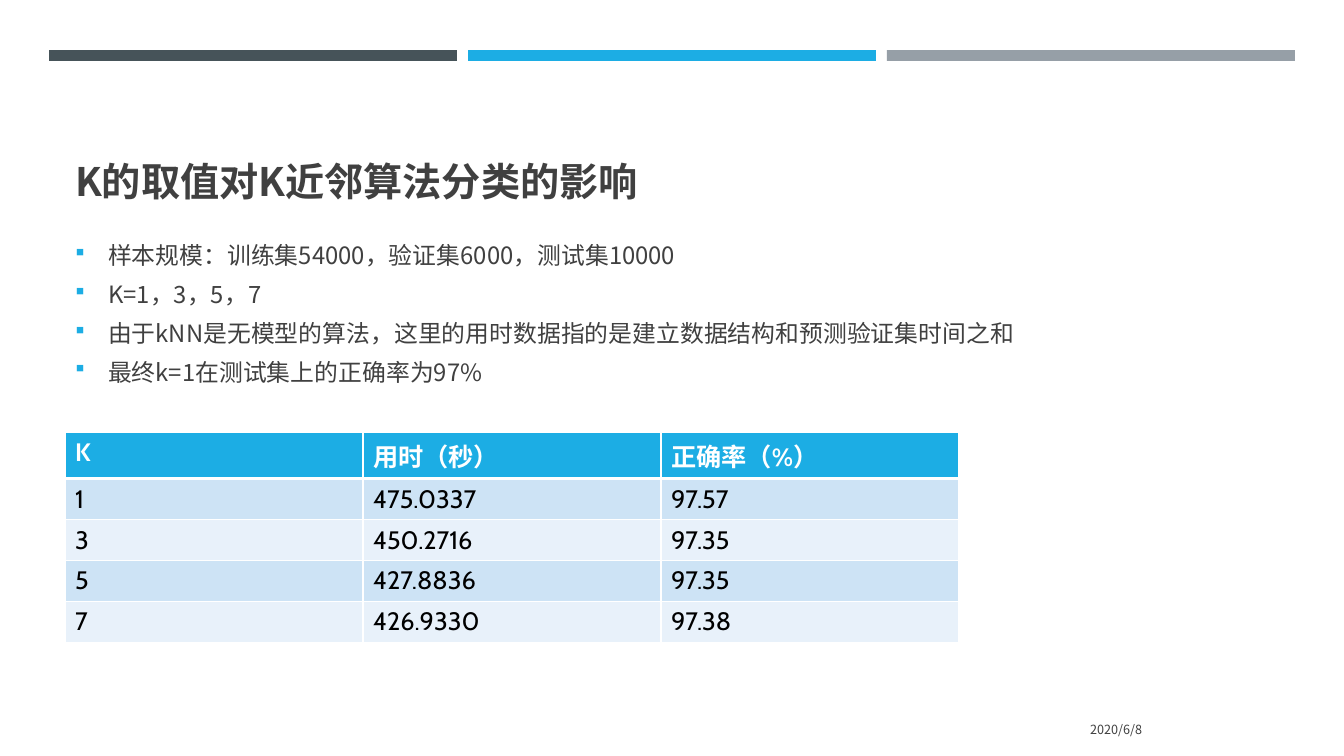
from lxml import etree
from pptx import Presentation
from pptx.dml.color import RGBColor
from pptx.enum.shapes import MSO_SHAPE
from pptx.enum.text import MSO_ANCHOR, MSO_AUTO_SIZE, PP_ALIGN
from pptx.oxml.ns import qn
from pptx.util import Pt

RECTANGLE = MSO_SHAPE.RECTANGLE
TOP, MIDDLE, BOTTOM = MSO_ANCHOR.TOP, MSO_ANCHOR.MIDDLE, MSO_ANCHOR.BOTTOM
LEFT, RIGHT = PP_ALIGN.LEFT, PP_ALIGN.RIGHT
NO_FIT = MSO_AUTO_SIZE.NONE

SLATE = RGBColor(0x46, 0x53, 0x59)
BLUE = RGBColor(0x1C, 0xAD, 0xE4)
GREY = RGBColor(0x96, 0x9F, 0xA7)
INK = RGBColor(0x40, 0x40, 0x40)
WHITE = RGBColor(0xFF, 0xFF, 0xFF)
BLACK = RGBColor(0x00, 0x00, 0x00)
BAND_DARK = RGBColor(0xCD, 0xE3, 0xF5)
BAND_LIGHT = RGBColor(0xE8, 0xF1, 0xFA)

CJK_FONT = "Noto Sans CJK SC"
TABLE_FONT = "Cabin"
PX = 914400 / 100.8


def px(*lengths):
    """Turn pixel lengths into EMU."""
    return [round(length * PX) for length in lengths]


def write(para, text, size, color, bold=False, font=CJK_FONT, align=LEFT):
    para.alignment = align
    span = para.add_run()
    span.text = text
    look = {"size": Pt(size), "bold": bold, "name": font}
    for name, value in look.items():
        setattr(span.font, name, value)
    span.font.color.rgb = color
    east_asian = etree.SubElement(span.font._element, qn("a:ea"))
    east_asian.set("typeface", CJK_FONT)


deck = Presentation()
deck.slide_width, deck.slide_height = px(1344, 756)
page = deck.slides.add_slide(deck.slide_layouts[1])

# Bars across the top
for index, color in enumerate([SLATE, BLUE, GREY]):
    bar = page.shapes.add_shape(RECTANGLE, *px(49 + 419 * index, 50, 408, 11))
    bar.shadow.inherit = False
    bar.fill.solid()
    bar.fill.fore_color.rgb = color
    bar.line.fill.background()

# Title, list and date
title = page.shapes.title
body = page.placeholders[1]
date = page.shapes.add_textbox(0, 0, 0, 0)
frames = [
    (title, (65, 78, 1216, 131), BOTTOM),
    (body, (65, 239, 1216, 214), TOP),
    (date, (839, 709, 313, 40), MIDDLE),
]
for box, place, anchor in frames:
    box.left, box.top, box.width, box.height = px(*place)
    frame = box.text_frame
    frame.word_wrap = True
    frame.auto_size = NO_FIT
    frame.vertical_anchor = anchor

write(title.text_frame.paragraphs[0], "K的取值对K近邻算法分类的影响", 28, INK, bold=True)
write(date.text_frame.paragraphs[0], "2020/6/8", 9, INK, align=RIGHT)

points = [
    "样本规模：训练集54000，验证集6000，测试集10000",
    "K=1，3，5，7",
    "由于kNN是无模型的算法，这里的用时数据指的是建立数据结构和预测验证集时间之和",
    "最终k=1在测试集上的正确率为97%",
]
bullet_parts = [
    ("a:buSzPct", {"val": "92000"}),
    ("a:buFont", {"typeface": "Wingdings", "charset": "2"}),
    ("a:buChar", {"char": "§"}),
]
body.text_frame.margin_top = px(2)[0]
indent = px(33)[0]
for index, point in enumerate(points):
    para = body.text_frame.paragraphs[0] if index == 0 else body.text_frame.add_paragraph()
    write(para, point, 17, INK)
    spacing = {"line_spacing": 1.0, "space_before": Pt(0), "space_after": Pt(7.3)}
    for name, value in spacing.items():
        setattr(para, name, value)
    props = para._p.get_or_add_pPr()
    props.set("marL", str(indent))
    props.set("indent", str(-indent))
    bullet_color = etree.SubElement(props, qn("a:buClr"))
    etree.SubElement(bullet_color, qn("a:srgbClr"), val=str(BLUE))
    for tag, values in bullet_parts:
        etree.SubElement(props, qn(tag), values)

# Results table
results = [
    ("K", "用时（秒）", "正确率（%）"),
    ("1", "475.0337", "97.57"),
    ("3", "450.2716", "97.35"),
    ("5", "427.8836", "97.35"),
    ("7", "426.9330", "97.38"),
]
table = page.shapes.add_table(5, 3, *px(65, 432, 894, 205)).table
for row_index, row in enumerate(results):
    header = row_index == 0
    band = BLUE if header else BAND_DARK if row_index % 2 else BAND_LIGHT
    edges = {
        "a:lnL": 1,
        "a:lnR": 1,
        "a:lnT": 3 if row_index == 1 else 1,
        "a:lnB": 3 if header else 1,
    }
    for column_index, text in enumerate(row):
        cell = table.cell(row_index, column_index)
        write(cell.text_frame.paragraphs[0], text, 18, WHITE if header else BLACK,
              bold=header, font=TABLE_FONT)
        props = cell._tc.get_or_add_tcPr()
        for tag, width in edges.items():
            edge = etree.SubElement(props, qn(tag), w=str(Pt(width)))
            edge_fill = etree.SubElement(edge, qn("a:solidFill"))
            etree.SubElement(edge_fill, qn("a:srgbClr"), val=str(WHITE))
        cell.fill.solid()
        cell.fill.fore_color.rgb = band

deck.save("out.pptx")
